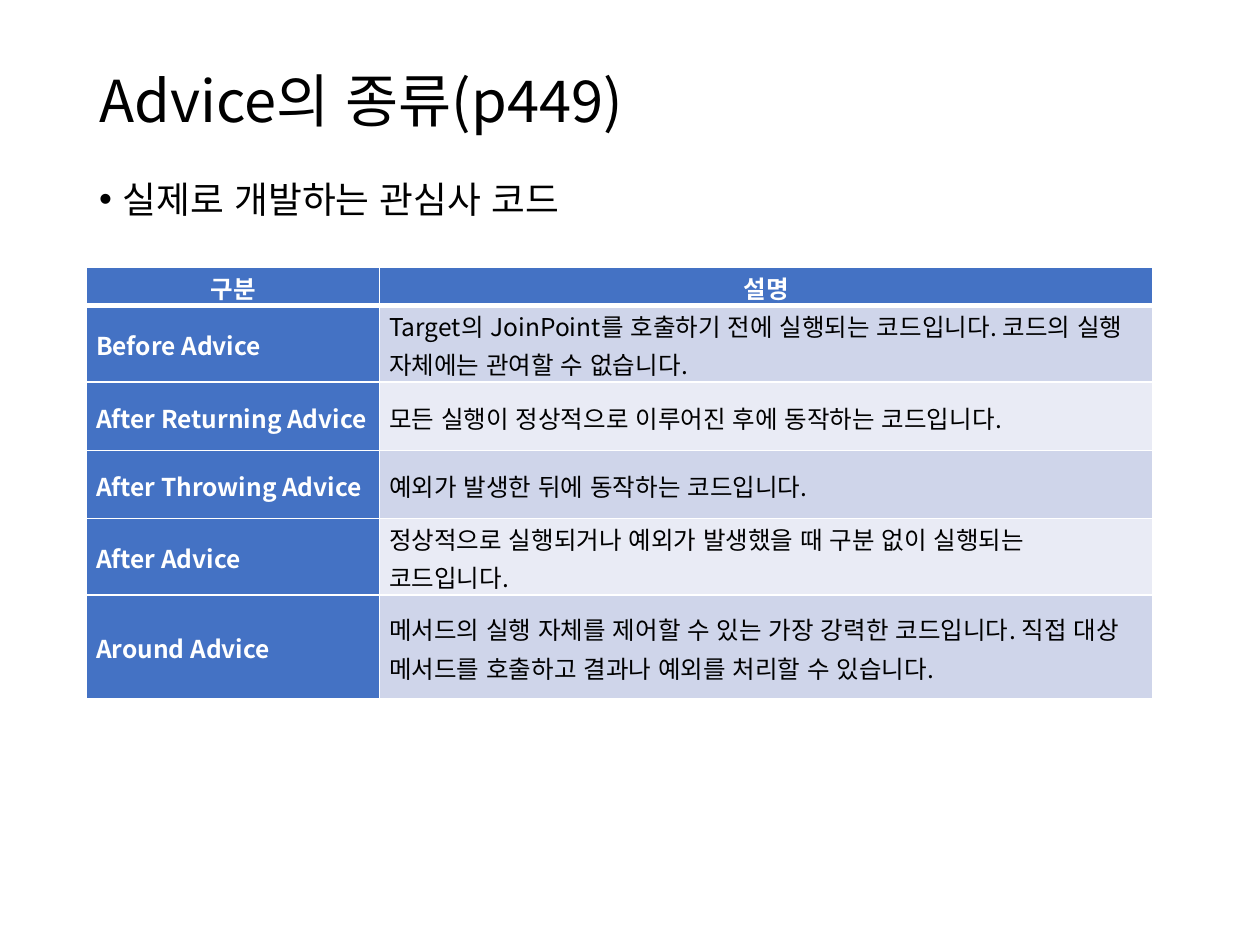
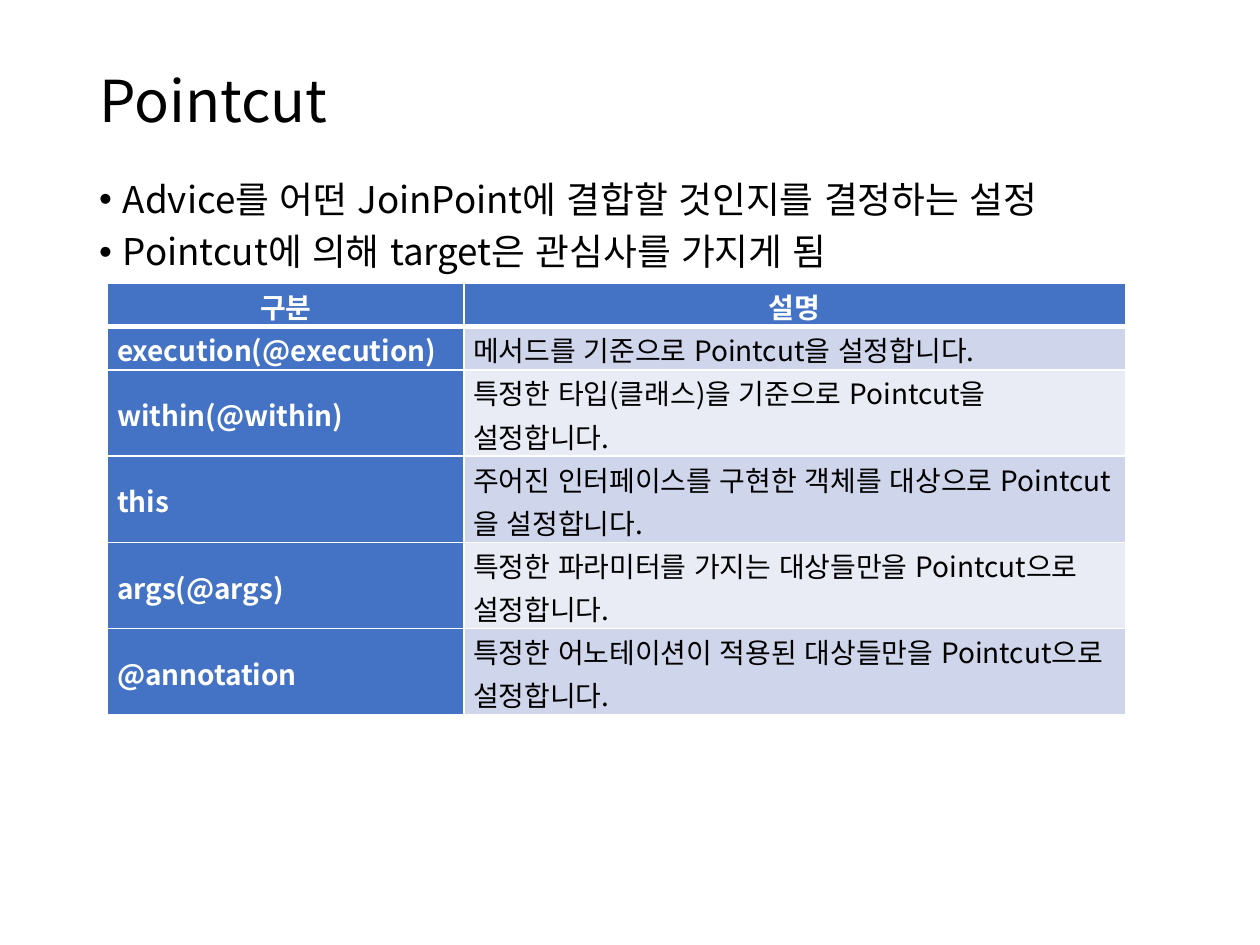
from dataclasses import dataclass

from lxml import etree
from pptx import Presentation
from pptx.dml.color import RGBColor
from pptx.enum.lang import MSO_LANGUAGE_ID
from pptx.enum.text import MSO_ANCHOR, MSO_AUTO_SIZE, PP_ALIGN
from pptx.oxml.ns import qn
from pptx.util import Pt

MIDDLE, TOP = MSO_ANCHOR.MIDDLE, MSO_ANCHOR.TOP
LEFT, CENTER = PP_ALIGN.LEFT, PP_ALIGN.CENTER
NO_AUTOFIT = MSO_AUTO_SIZE.NONE
KOREAN = MSO_LANGUAGE_ID.KOREAN

FONT = "Noto Sans CJK KR"
BLACK = RGBColor(0x00, 0x00, 0x00)
WHITE = RGBColor(0xFF, 0xFF, 0xFF)
BLUE = RGBColor(0x44, 0x72, 0xC4)
BANDS = (RGBColor(0xCF, 0xD5, 0xEA), RGBColor(0xE9, 0xEB, 0xF5))
HEADINGS = ("구분", "설명")

MARGIN, CONTENT_WIDTH = 49.5, 621
BULLET_INDENT = 13.5
CELL_INSET = 5.4
THIN, THICK = 1, 3


@dataclass(frozen=True)
class Definitions:
    left: float
    top: float
    columns: tuple[float, float]
    row_heights: tuple[float, ...]
    size: float
    entries: tuple[tuple[str, str], ...]


@dataclass(frozen=True)
class Topic:
    title: str
    points: tuple[str, ...]
    definitions: Definitions


TOPICS = (
    Topic(
        "Advice의 종류(p449)",
        ("실제로 개발하는 관심사 코드",),
        Definitions(
            49.5, 152.8, (167.5, 442), (19, 39, 39, 39, 39, 59.5), 14,
            (
                ("Before Advice", "Target의 JoinPoint를 호출하기 전에 실행되는 코드입니다. "
                                  "코드의 실행 자체에는 관여할 수 없습니다."),
                ("After Returning Advice", "모든 실행이 정상적으로 이루어진 후에 동작하는 코드입니다."),
                ("After Throwing Advice", "예외가 발생한 뒤에 동작하는 코드입니다."),
                ("After Advice", "정상적으로 실행되거나 예외가 발생했을 때 구분 없이 실행되는 코드입니다."),
                ("Around Advice", "메서드의 실행 자체를 제어할 수 있는 가장 강력한 코드입니다. "
                                  "직접 대상 메서드를 호출하고 결과나 예외를 처리할 수 있습니다."),
            ),
        ),
    ),
    Topic(
        "Pointcut",
        ("Advice를 어떤 JoinPoint에 결합할 것인지를 결정하는 설정",
         "Pointcut에 의해 target은 관심사를 가지게 됨"),
        Definitions(
            61.5, 162, (203.5, 378), (24, 24, 49, 49, 49, 49), 16,
            (
                ("execution(@execution)", "메서드를 기준으로 Pointcut을 설정합니다."),
                ("within(@within)", "특정한 타입(클래스)을 기준으로 Pointcut을 설정합니다."),
                ("this", "주어진 인터페이스를 구현한 객체를 대상으로 Pointcut을 설정합니다."),
                ("args(@args)", "특정한 파라미터를 가지는 대상들만을 Pointcut으로 설정합니다."),
                ("@annotation", "특정한 어노테이션이 적용된 대상들만을 Pointcut으로 설정합니다."),
            ),
        ),
    ),
)


def write(paragraph, text: str, size: float, color: RGBColor = BLACK,
          bold: bool = False, align=LEFT, spacing: float = 0.9) -> None:
    paragraph.alignment = align
    paragraph.line_spacing = spacing
    run = paragraph.add_run()
    run.text = text
    run.font.name = FONT
    run.font.size = Pt(size)
    run.font.bold = bold
    run.font.color.rgb = color
    run.font.language_id = KOREAN
    etree.SubElement(run.font._element, qn("a:ea"), typeface=FONT)


def place(placeholder, top: float, height: float, anchor):
    placeholder.left, placeholder.top = Pt(MARGIN), Pt(top)
    placeholder.width, placeholder.height = Pt(CONTENT_WIDTH), Pt(height)
    frame = placeholder.text_frame
    frame.auto_size = NO_AUTOFIT
    frame.word_wrap = True
    frame.vertical_anchor = anchor
    return frame


def add_points(frame, points: tuple[str, ...]) -> None:
    for index, point in enumerate(points):
        paragraph = frame.add_paragraph() if index else frame.paragraphs[0]
        write(paragraph, point, 21)
        paragraph.space_before = Pt(7.5)
        properties = paragraph._p.get_or_add_pPr()
        properties.set("marL", str(Pt(BULLET_INDENT)))
        properties.set("indent", str(-Pt(BULLET_INDENT)))
        etree.SubElement(properties, qn("a:buFont"), typeface="Arial")
        etree.SubElement(properties, qn("a:buChar"), char="•")


def add_borders(cell, top: float, bottom: float) -> None:
    properties = cell._tc.get_or_add_tcPr()
    widths = {"a:lnL": THIN, "a:lnR": THIN, "a:lnT": top, "a:lnB": bottom}
    for index, (side, width) in enumerate(widths.items()):
        line = etree.Element(qn(side), w=str(Pt(width)))
        fill = etree.SubElement(line, qn("a:solidFill"))
        etree.SubElement(fill, qn("a:srgbClr"), val=str(WHITE))
        properties.insert(index, line)


def add_definitions(slide, spec: Definitions) -> None:
    rows = (HEADINGS, *spec.entries)
    table = slide.shapes.add_table(
        len(rows), len(HEADINGS), Pt(spec.left), Pt(spec.top),
        Pt(sum(spec.columns)), Pt(sum(spec.row_heights))).table
    table.first_row = table.horz_banding = False
    for column, width in zip(table.columns, spec.columns):
        column.width = Pt(width)
    for row, height in zip(table.rows, spec.row_heights):
        row.height = Pt(height)
    for r, texts in enumerate(rows):
        for c, text in enumerate(texts):
            cell = table.cell(r, c)
            heading = r == 0 or c == 0
            cell.margin_left = cell.margin_right = Pt(CELL_INSET)
            cell.margin_top = cell.margin_bottom = 0
            cell.vertical_anchor = MIDDLE
            cell.fill.solid()
            cell.fill.fore_color.rgb = BLUE if heading else BANDS[(r - 1) % 2]
            add_borders(cell, THICK if r == 1 else THIN, THICK if r == 0 else THIN)
            write(cell.text_frame.paragraphs[0], text, spec.size,
                  WHITE if heading else BLACK, heading,
                  CENTER if r == 0 else LEFT, 1.07)


def add_topic(deck, topic: Topic) -> None:
    slide = deck.slides.add_slide(deck.slide_layouts[1])
    slide.background.fill.solid()
    slide.background.fill.fore_color.rgb = WHITE
    title = place(slide.shapes.title, 28.8, 61.2, MIDDLE)
    write(title.paragraphs[0], topic.title, 33)
    add_points(place(slide.placeholders[1], 100, 386.6, TOP), topic.points)
    add_definitions(slide, topic.definitions)


deck = Presentation()
deck.slide_width, deck.slide_height = Pt(720), Pt(540)
for topic in TOPICS:
    add_topic(deck, topic)
deck.save("out.pptx")
